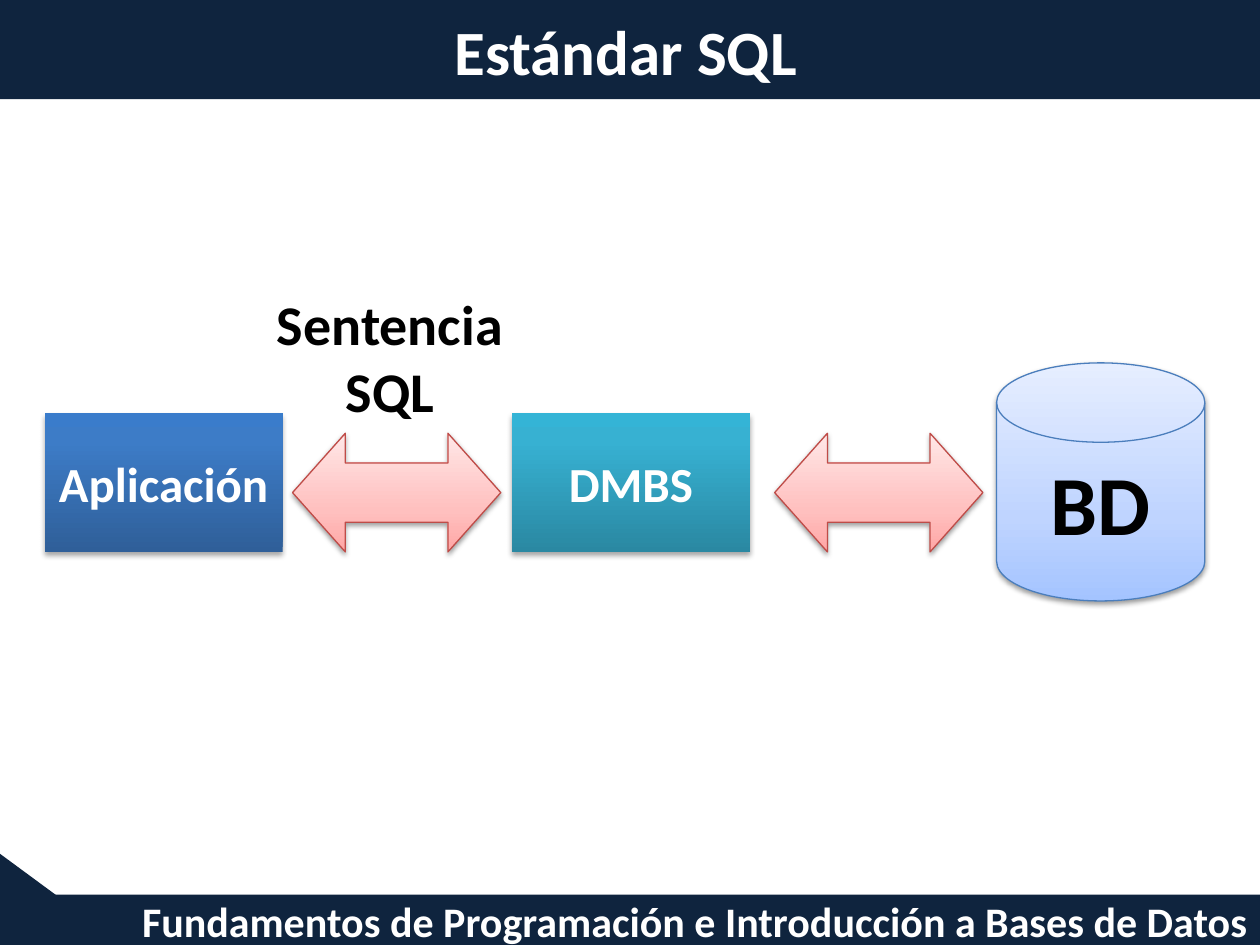
from lxml import etree
from pptx import Presentation
from pptx.dml.color import RGBColor
from pptx.enum import shapes, text
from pptx.oxml import ns
from pptx.util import Pt

NAVY = RGBColor(0x0F, 0x24, 0x3E)
WHITE = RGBColor(0xFF, 0xFF, 0xFF)
BLACK = RGBColor(0, 0, 0)
DISK_EDGE = RGBColor(0x4B, 0x7E, 0xBC)
ARROW_EDGE = RGBColor(0xBF, 0x4C, 0x48)
BLUE = {0: RGBColor(0x2F, 0x5F, 0x99), 80: RGBColor(0x3D, 0x7C, 0xC7), 100: RGBColor(0x3A, 0x7C, 0xCB)}
TEAL = {0: RGBColor(0x2A, 0x88, 0xA2), 80: RGBColor(0x37, 0xB1, 0xD2), 100: RGBColor(0x34, 0xB4, 0xD6)}
PALE_BLUE = {0: RGBColor(0xA4, 0xC4, 0xFF), 35: RGBColor(0xBF, 0xD4, 0xFF), 100: RGBColor(0xE6, 0xEE, 0xFF)}
PINK = {0: RGBColor(0xFF, 0xA6, 0xA5), 35: RGBColor(0xFF, 0xC0, 0xBF), 100: RGBColor(0xFF, 0xE7, 0xE7)}
KIND = shapes.MSO_SHAPE
ALIGN = text.PP_ALIGN
ANCHOR = text.MSO_ANCHOR


def write(holder, words, size, color, align=ALIGN.CENTER, **frame_format):
    """Put bold text in a shape, with the given text frame format."""
    frame = holder.text_frame
    frame_values = {"word_wrap": True, "vertical_anchor": ANCHOR.MIDDLE, **frame_format}
    for name, value in frame_values.items():
        setattr(frame, name, value)
    paragraph = frame.paragraphs[0]
    paragraph.text = words
    paragraph.alignment = align
    for run in paragraph.runs:
        for name, value in {"name": "Calibri", "size": Pt(size), "bold": True}.items():
            setattr(run.font, name, value)
        run.font.color.rgb = color


def add_part(slide, kind, box, edge=None):
    """Add a preset shape without shadow, outlined only when an edge colour is given."""
    part = slide.shapes.add_shape(kind, *map(Pt, box))
    part.shadow.inherit = False
    if edge is None:
        part.line.fill.background()
    else:
        part.line.color.rgb = edge
        part.line.width = Pt(0.75)
    return part


def add_glossy(slide, kind, box, stops, edge=None):
    """Add a shape with an upward gradient and a soft shadow below it."""
    part = add_part(slide, kind, box, edge)
    part.fill.gradient()
    part.fill.gradient_angle = 90
    properties = part._element.spPr
    stop_list = properties.find(ns.qn("a:gradFill")).find(ns.qn("a:gsLst"))
    for stop in list(stop_list):
        stop_list.remove(stop)
    for position, color in stops.items():
        stop = etree.SubElement(stop_list, ns.qn("a:gs"), pos=str(position * 1000))
        etree.SubElement(stop, ns.qn("a:srgbClr"), val=str(color))
    distance, opacity = (Pt(1.8), 35000) if edge is None else (Pt(1.6), 38000)
    shadow = etree.SubElement(
        properties.find(ns.qn("a:effectLst")), ns.qn("a:outerShdw"),
        blurRad=str(Pt(3.1)), dist=str(distance), dir="5400000", rotWithShape="0")
    shade = etree.SubElement(shadow, ns.qn("a:srgbClr"), val=str(BLACK))
    etree.SubElement(shade, ns.qn("a:alpha"), val=str(opacity))
    return part


def add_band(slide, kind, box):
    """Add a flat navy part of the page frame."""
    band = add_part(slide, kind, box)
    band.fill.solid()
    band.fill.fore_color.rgb = NAVY
    return band


def add_header(slide, left, top, width, height):
    """Draw the top band and set the title on it."""
    add_band(slide, KIND.RECTANGLE, (left, top, width, height))
    title = slide.shapes.title
    slide.shapes._spTree.append(title._element)
    places = {"left": left + 8.6, "top": top + 8.6, "width": width - 22, "height": 40.3}
    for name, value in places.items():
        setattr(title, name, Pt(value))
    write(title, "Estándar SQL", 36, WHITE)


def add_footer(slide, left, top, width, height):
    """Draw the bottom band with the course name and its corner wedge."""
    band = add_band(slide, KIND.RECTANGLE, (left, top, width, height))
    write(band, "Fundamentos de Programación e Introducción a Bases de Datos",
          24, WHITE, ALIGN.RIGHT, word_wrap=False)
    add_band(slide, KIND.RIGHT_TRIANGLE, (left - 33.8, top - 48.2, 106.6, 78.5))


def add_flow(slide, left, top, width, height):
    """Draw the exchange between application, DBMS and database inside a box."""
    block_width, block_height, block_top = 136, 79.2, top + 28.8
    arrow_width, arrow_height = 119, 67.8
    arrow_top = block_top + block_height - arrow_height
    blocks = (("Aplicación", 0, BLUE), ("DMBS", 267, TEAL))
    for words, offset, stops in blocks:
        block = add_glossy(slide, KIND.RECTANGLE,
                           (left + offset, block_top, block_width, block_height), stops)
        write(block, words, 28, WHITE)
    disk = add_glossy(slide, KIND.FLOWCHART_MAGNETIC_DISK,
                      (left + width - arrow_width, top, arrow_width, height),
                      PALE_BLUE, DISK_EDGE)
    write(disk, "BD", 48, BLACK)
    for offset in (141.7, 417.2):
        arrow = add_glossy(slide, KIND.LEFT_RIGHT_ARROW,
                           (left + offset, arrow_top, arrow_width, arrow_height),
                           PINK, ARROW_EDGE)
        arrow.adjustments[0] = 0.5
        arrow.adjustments[1] = 0.445
    label = slide.shapes.add_textbox(Pt(left + 125), Pt(top - 45.4), Pt(144.7), Pt(85))
    write(label, "Sentencia\nSQL", 32, BLACK, word_wrap=False,
          vertical_anchor=ANCHOR.TOP, auto_size=text.MSO_AUTO_SIZE.SHAPE_TO_FIT_TEXT)


def main():
    """Build the slide and save it."""
    deck = Presentation()
    deck.slide_width, deck.slide_height = Pt(720), Pt(540)
    slide = deck.slides.add_slide(deck.slide_layouts[5])
    add_footer(slide, 0, 511.2, 720, 30.2)
    add_header(slide, 0, 0, 720, 56.7)
    add_flow(slide, 25.5, 207.4, 663, 136)
    deck.save("out.pptx")


if __name__ == "__main__":
    main()
